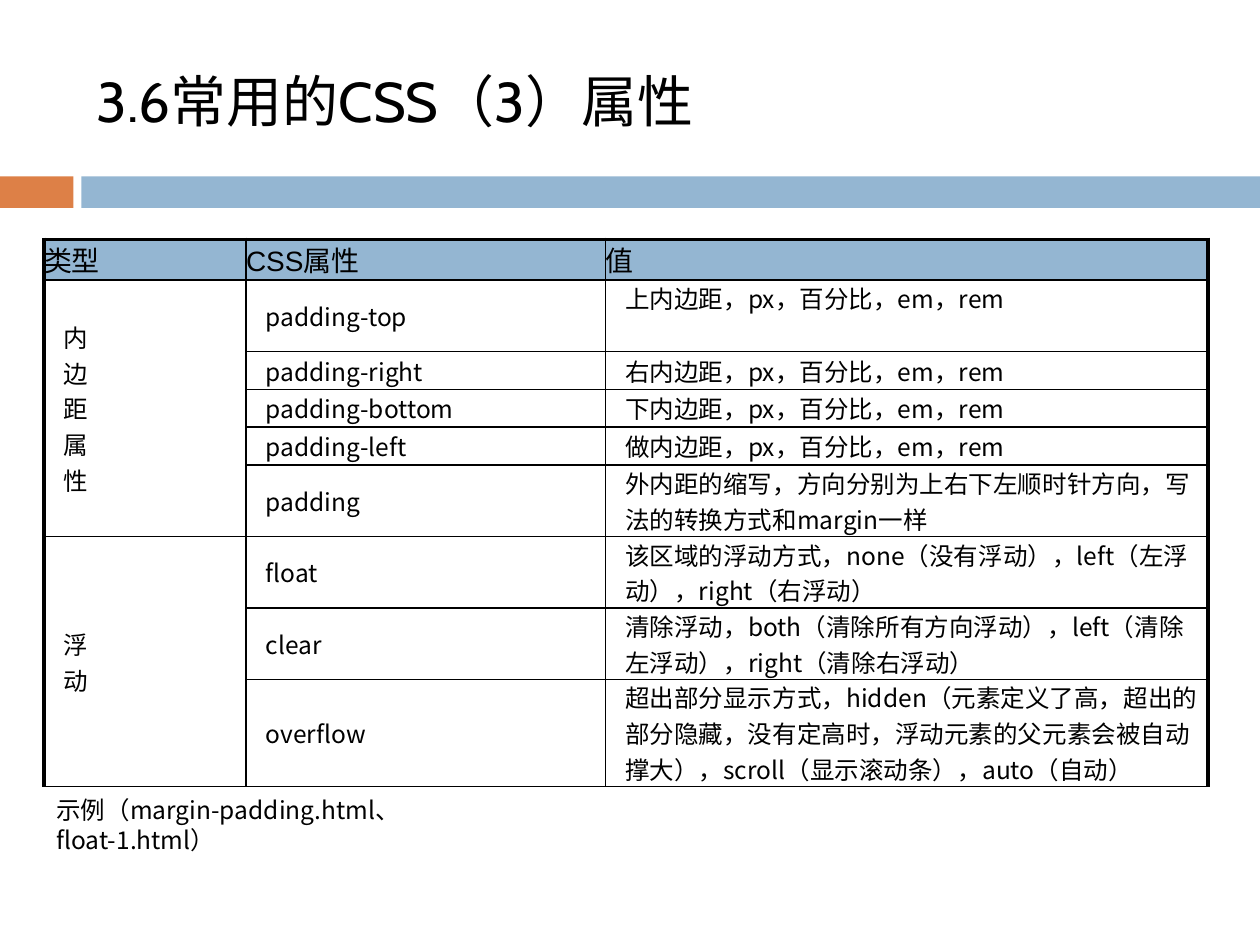
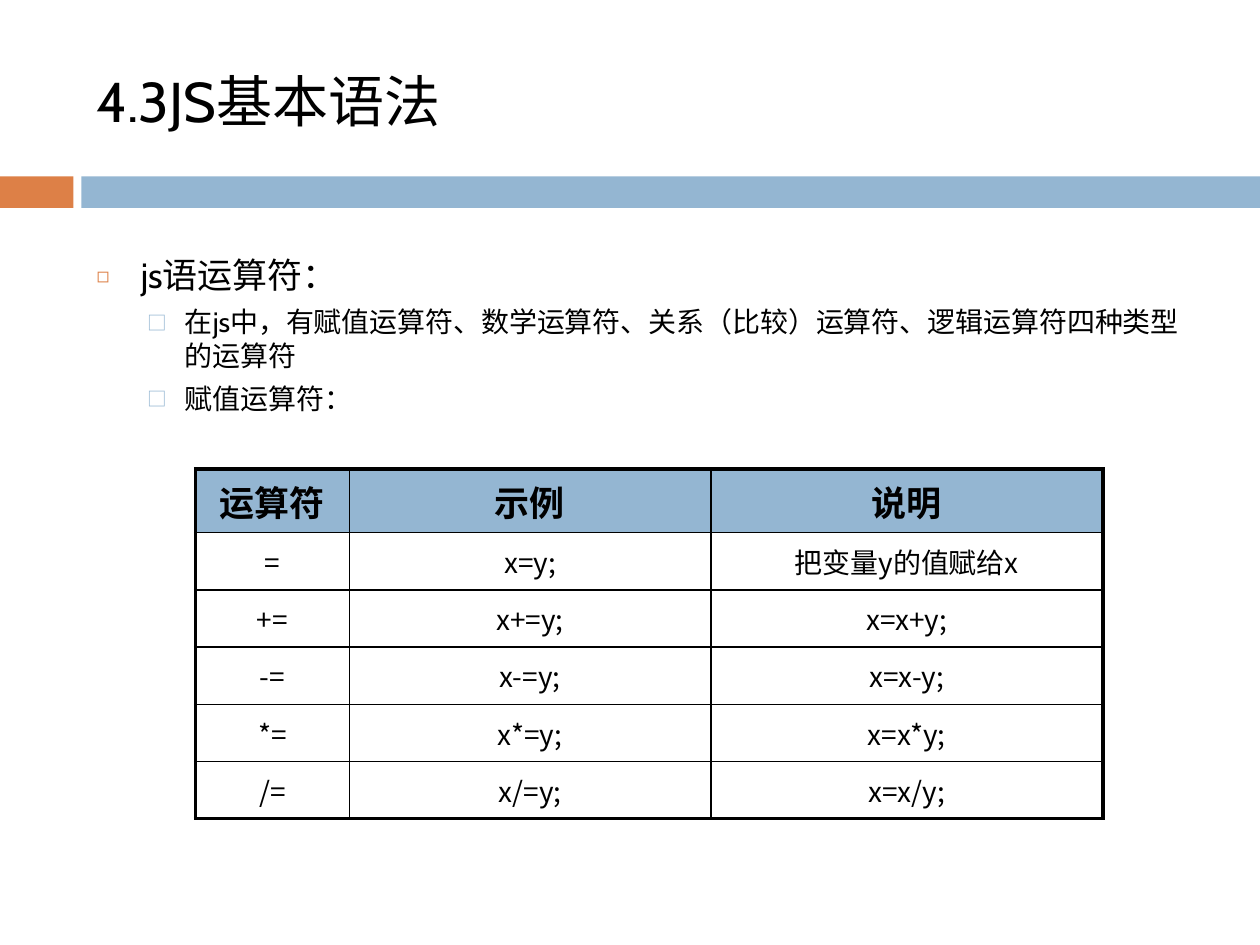
from lxml.etree import SubElement
from pptx import Presentation
from pptx.dml.color import RGBColor
from pptx.enum.shapes import MSO_SHAPE as Shape
from pptx.enum.text import MSO_ANCHOR as Anchor, PP_ALIGN as Align
from pptx.oxml import parse_xml
from pptx.oxml.ns import nsdecls, qn
from pptx.util import Pt

COLORS = {"orange": "DD8047", "blue": "94B6D2", "black": "000000"}
CJK_FONT = "Noto Sans CJK SC"
TITLE_FONT = "Cabin"
HEADER_FONT = "Arial"


def write_text(frame, text, size=14, font=CJK_FONT, east_asian=CJK_FONT, bold=False,
               align=Align.LEFT, anchor=Anchor.TOP):
    frame.word_wrap = True
    frame.vertical_anchor = anchor
    for index, line in enumerate(text.split("\n")):
        paragraph = frame.add_paragraph() if index else frame.paragraphs[0]
        paragraph.alignment = align
        run = paragraph.add_run()
        run.text = line
        run.font.size = Pt(size)
        run.font.name = font
        run.font.bold = bold
        run.font.color.rgb = RGBColor.from_string(COLORS["black"])
        SubElement(run.font._element, qn("a:ea"), typeface=east_asian)


def add_grid(slide, rows, left, top, widths, heights, header, body, header_margins,
             body_margins, bottom_width):
    shape = slide.shapes.add_table(len(rows), len(widths), Pt(left), Pt(top),
                                   Pt(sum(widths)), Pt(sum(heights)))
    table = shape.table
    table.first_row = table.horz_banding = False
    for column, width in zip(table.columns, widths):
        column.width = Pt(width)
    for row, height in zip(table.rows, heights):
        row.height = Pt(height)
    last_row, last_column = len(rows) - 1, len(widths) - 1
    for row_index, values in enumerate(rows):
        for column_index, value in enumerate(values):
            cell = table.cell(row_index, column_index)
            margins = body_margins if row_index else header_margins
            cell.margin_left, cell.margin_top, cell.margin_right, cell.margin_bottom = map(Pt, margins)
            if row_index:
                cell.fill.background()
            else:
                cell.fill.solid()
                cell.fill.fore_color.rgb = RGBColor.from_string(COLORS["blue"])
            if value:
                write_text(cell.text_frame, value, **(body if row_index else header))
            cell.vertical_anchor = Anchor.MIDDLE
            borders = {
                "lnL": 1 if column_index else 2.25,
                "lnR": 2.25 if column_index == last_column else 1,
                "lnT": 1 if row_index else 2.25,
                "lnB": bottom_width if row_index == last_row else 1,
            }
            properties = cell._tc.get_or_add_tcPr()
            for position, (side, width) in enumerate(borders.items()):
                properties.insert(position, parse_xml(
                    f'<a:{side} {nsdecls("a")} w="{Pt(width)}"><a:solidFill>'
                    f'<a:srgbClr val="{COLORS["black"]}"/></a:solidFill></a:{side}>'))
    return table


presentation = Presentation()
presentation.slide_width, presentation.slide_height = Pt(720), Pt(540)

slides = []
for title in ("3.6常用的CSS（3）属性", "4.3JS基本语法"):
    slide = presentation.slides.add_slide(presentation.slide_layouts[5])
    for left, width, color in ((0, 42, "orange"), (46.5, 673.5, "blue")):
        band = slide.shapes.add_shape(Shape.RECTANGLE, Pt(left), Pt(100.8), Pt(width), Pt(18))
        band.shadow.inherit = False
        band.fill.solid()
        band.fill.fore_color.rgb = RGBColor.from_string(COLORS[color])
        band.line.fill.background()
    heading = slide.shapes.title
    heading.left, heading.top, heading.width, heading.height = Pt(48), Pt(18), Pt(642), Pt(78)
    write_text(heading.text_frame, title, size=32, font=TITLE_FONT, east_asian=TITLE_FONT,
               anchor=Anchor.MIDDLE)
    slides.append(slide)
css_slide, operator_slide = slides

css_rows = [
    ("类型", "CSS属性", "值"),
    ("内\n边\n距\n属\n性", "padding-top", "上内边距，px，百分比，em，rem"),
    ("", "padding-right", "右内边距，px，百分比，em，rem"),
    ("", "padding-bottom", "下内边距，px，百分比，em，rem"),
    ("", "padding-left", "做内边距，px，百分比，em，rem"),
    ("", "padding", "外内距的缩写，方向分别为上右下左顺时针方向，写法的转换方式和margin一样"),
    ("浮\n动", "float", "该区域的浮动方式，none（没有浮动），left（左浮动），right（右浮动）"),
    ("", "clear", "清除浮动，both（清除所有方向浮动），left（清除左浮动），right（清除右浮动）"),
    ("", "overflow", "超出部分显示方式，hidden（元素定义了高，超出的部分隐藏，没有定高时，"
                     "浮动元素的父元素会被自动撑大），scroll（显示滚动条），auto（自动）"),
]
css_table = add_grid(
    css_slide, css_rows, 25.2, 136.8, (115.4, 205.4, 344.2),
    (22.6, 41, 21.6, 21.6, 21.6, 40.8, 40.8, 40.8, 61),
    header={"size": 16, "font": HEADER_FONT}, body={"size": 14},
    header_margins=(0, 0, 0, 0), body_margins=(11.3, 0, 0, 0), bottom_width=1)
css_table.cell(1, 0).merge(css_table.cell(5, 0))
css_table.cell(6, 0).merge(css_table.cell(8, 0))
css_table.cell(1, 2).vertical_anchor = Anchor.TOP

example = css_slide.shapes.add_textbox(Pt(25.2), Pt(451), Pt(308), Pt(48))
example.text_frame.margin_right = Pt(90)
write_text(example.text_frame, "示例（margin-padding.html、float-1.html）")

outline = operator_slide.shapes.add_textbox(Pt(48.2), Pt(141.2), Pt(642), Pt(354))
points = [
    (0, "js语运算符："),
    (1, "在js中，有赋值运算符、数学运算符、关系（比较）运算符、逻辑运算符四种类型的运算符"),
    (1, "赋值运算符："),
]
levels = [
    {"size": 20, "before": 7, "left": 25.2, "hanging": 25.2, "bullet": "◻", "color": "orange", "scale": 60},
    {"size": 16, "before": 5.5, "left": 50.4, "hanging": 21.6, "bullet": "□", "color": "blue", "scale": 70},
]
write_text(outline.text_frame, "\n".join(text for level, text in points),
           font=TITLE_FONT, east_asian=TITLE_FONT)
for paragraph, (level, text) in zip(outline.text_frame.paragraphs, points):
    style = levels[level]
    paragraph.level = level
    paragraph.space_before = Pt(style["before"])
    paragraph.runs[0].font.size = Pt(style["size"])
    properties = paragraph._p.get_or_add_pPr()
    properties.set("marL", str(Pt(style["left"])))
    properties.set("indent", str(-Pt(style["hanging"])))
    bullet_color = SubElement(properties, qn("a:buClr"))
    SubElement(bullet_color, qn("a:srgbClr"), val=COLORS[style["color"]])
    SubElement(properties, qn("a:buSzPct"), val=str(style["scale"] * 1000))
    SubElement(properties, qn("a:buFont"), typeface=CJK_FONT)
    SubElement(properties, qn("a:buChar"), char=style["bullet"])

operator_rows = [("运算符", "示例", "说明"), ("=", "x=y;", "把变量y的值赋给x")]
operator_rows += [(f"{sign}=", f"x{sign}=y;", f"x=x{sign}y;") for sign in "+-*/"]
cell_margins = (7.2, 3.6, 7.2, 3.6)
add_grid(
    operator_slide, operator_rows, 111.8, 268, (87.8, 206.6, 224), [36.4] + [32.7] * 5,
    header={"size": 20, "font": HEADER_FONT, "bold": True, "align": Align.CENTER},
    body={"size": 16, "align": Align.CENTER},
    header_margins=cell_margins, body_margins=cell_margins, bottom_width=2.25)

presentation.save("out.pptx")
